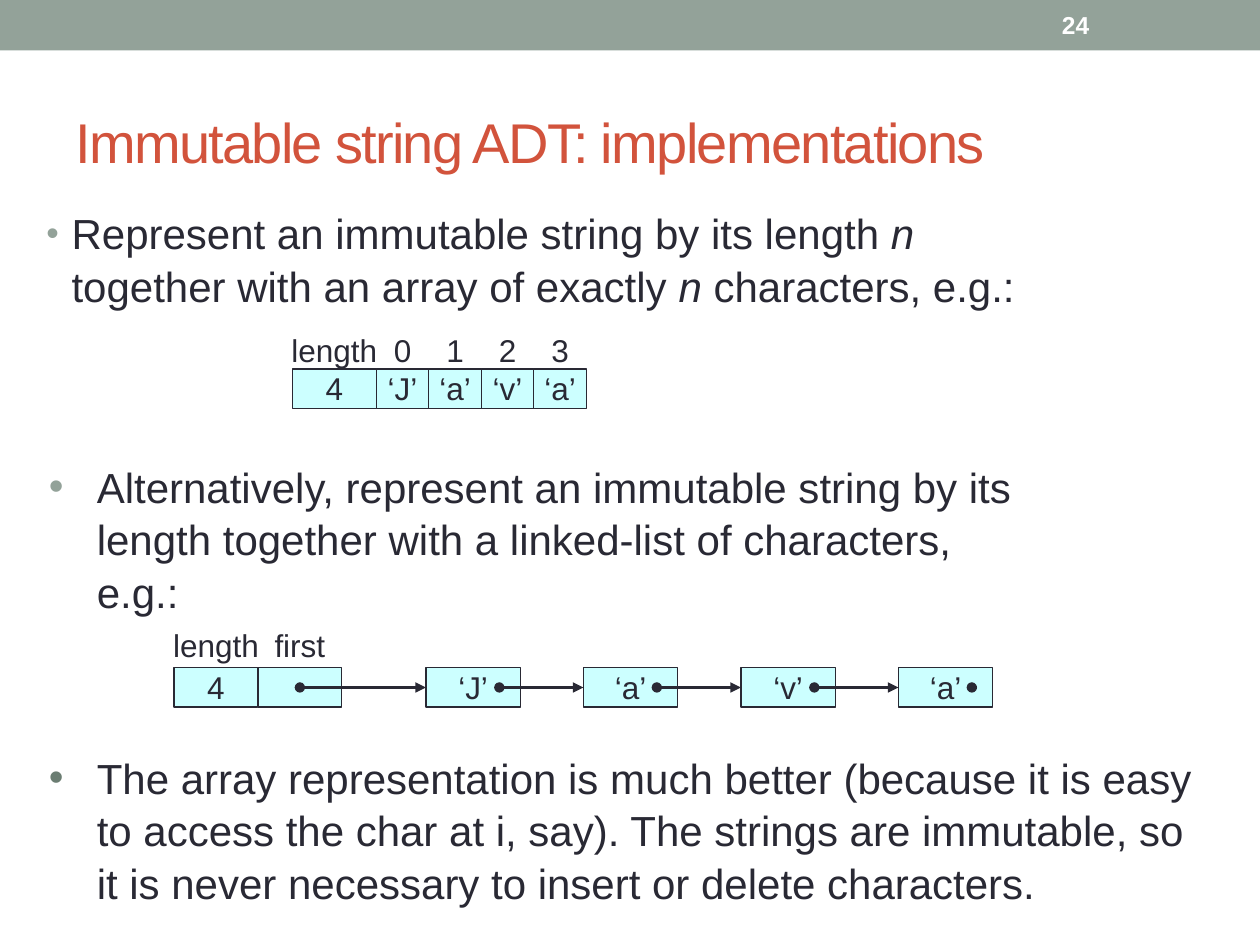
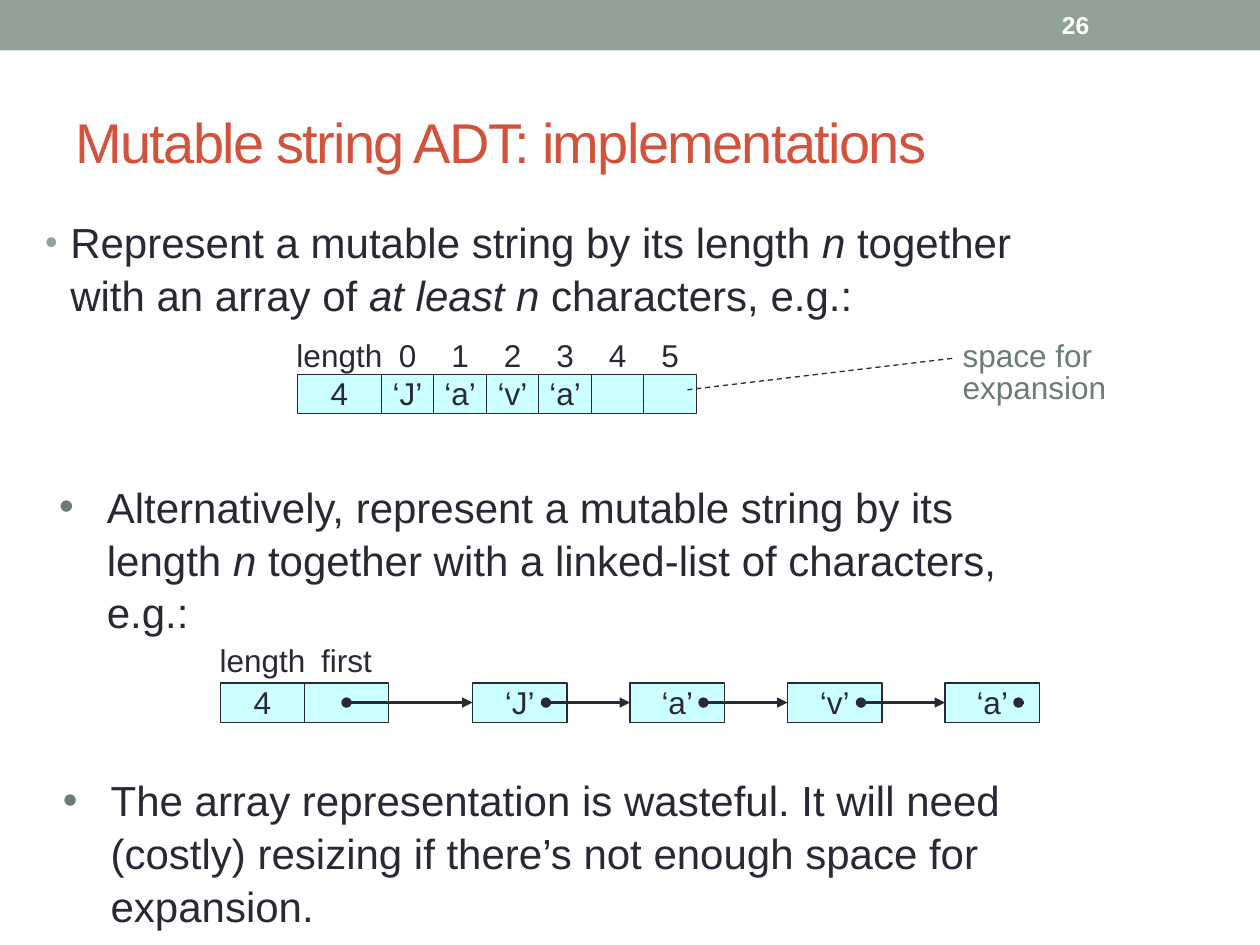
from pptx import Presentation, util as u
from pptx.dml.color import RGBColor
from pptx.enum import dml, shapes, text
from pptx.oxml.ns import qn
from lxml import etree

INK, SAGE, MOSS, RUST, AQUA, WHITE = "292934", "93A299", "6B7D72", "D2533C", "CCFFFF", "FFFFFF"
W, H = 10, 7.5
UNIT = 1 / 12
HEAD_W, CELL_W, NODE_W, NODE_STEP, BOX_H, LABEL_W, LABEL_H = 8, 5, 9, 15, 3.75, 10, 3
FIRST_NODE, DOT = 24, 7
WORD = ["‘J’", "‘a’", "‘v’", "‘a’"]

BODY = dict(size=24, color=INK)
SMALL = dict(size=18, color=INK)
TITLE = dict(size=32, color=RUST)
NUMBER = dict(size=14, color=WHITE, bold=True)
CENTER = dict(alignment=text.PP_ALIGN.CENTER)
LABEL = dict(CENTER, line_spacing=u.Pt(18))
LEAD = dict(indent=0.2, color=SAGE, size=85)

SLIDES = [
    dict(
        number="24",
        title="Immutable string ADT: implementations",
        points=[
            (0.27, 1.58, 8.33, 0.95, LEAD,
             ["Represent an immutable string by its length ", "n",
              " together with an array of exactly ", "n", " characters, e.g.:"]),
            (0.29, 3.59, 7.88, 1.28, dict(indent=0.38, color=SAGE),
             ["Alternatively, represent an immutable string by its length "
              "together with a linked-list of characters, e.g.:"]),
            (0.29, 5.9, 9.37, 1.23, dict(indent=0.38, color=MOSS),
             ["The array representation is much better (because it is easy to access "
              "the char at i, say). The strings are immutable, so it is never "
              "necessary to insert or delete characters."]),
        ],
        array=(2.32, 2.93, WORD),
        chain=(1.38, 5.3, WORD),
    ),
    dict(
        number="26",
        title="Mutable string ADT: implementations",
        points=[
            (0.26, 1.65, 8.33, 0.95, LEAD,
             ["Represent a mutable string by its length ", "n",
              " together with an array of ", "at least n", " characters, e.g.:"]),
            (0.37, 3.75, 7.88, 1.28, dict(indent=0.38, color=MOSS),
             ["Alternatively, represent a mutable string by its length ", "n",
              " together with a linked-list of characters, e.g.:"]),
            (0.4, 6.08, 7.88, 1.23, dict(indent=0.38, color=MOSS),
             ["The array representation is wasteful. It will need (costly) resizing "
              "if there’s not enough space for expansion."]),
        ],
        array=(2.36, 2.97, WORD + ["", ""]),
        chain=(1.75, 5.42, WORD),
        callout=(7.64, 2.72, 1.22, 0.55, "space for expansion", (0.226, -0.068, 0.679, -1.79)),
    ),
]


def rgb(value):
    return RGBColor.from_string(value)


def inches(*values):
    return [u.Inches(v) for v in values]


def put(obj, values):
    for name, value in values.items():
        setattr(obj, name, value)


def write(sp, runs, font, para=None, margins=None, anchor=text.MSO_ANCHOR.TOP):
    tf = sp.text_frame
    put(tf, dict(word_wrap=True, vertical_anchor=anchor))
    if margins is not None:
        put(tf, {f"margin_{side}": margins for side in ("left", "top", "right", "bottom")})
    p = tf.paragraphs[0]
    put(p, para or {})
    for i, words in enumerate(runs):
        r = p.add_run()
        r.text = words
        put(r.font, dict(name="Arial", size=u.Pt(font["size"]),
                         bold=font.get("bold", False), italic=i % 2 == 1))
        r.font.color.rgb = rgb(font["color"])
    return p


def box(s, at, fill=None, line=None, kind=shapes.MSO_SHAPE.RECTANGLE):
    sp = s.shapes.add_shape(kind, *inches(*at))
    sp.shadow.inherit = False
    if fill:
        sp.fill.solid()
        sp.fill.fore_color.rgb = rgb(fill)
    else:
        sp.fill.background()
    if line:
        sp.line.color.rgb = rgb(line)
        sp.line.width = u.Pt(0.75)
    else:
        sp.line.fill.background()
    return sp


def textbox(s, at, runs, font, **kw):
    return write(s.shapes.add_textbox(*inches(*at)), runs, font, **kw)


def cell(s, x, y, width, words=""):
    sp = box(s, (x, y, width * UNIT, BOX_H * UNIT), AQUA, INK)
    if words:
        write(sp, [words], SMALL, CENTER, 0)
    return sp


def label(s, middle, bottom, words):
    at = (middle - LABEL_W * UNIT / 2, bottom - LABEL_H * UNIT, LABEL_W * UNIT, LABEL_H * UNIT)
    textbox(s, at, [words], SMALL, para=LABEL, margins=0)


def bullet(p, indent, color, size=100):
    pPr = p._p.get_or_add_pPr()
    pPr.set("marL", str(u.Inches(indent)))
    pPr.set("indent", str(-u.Inches(indent)))
    clr = etree.SubElement(pPr, qn("a:buClr"))
    etree.SubElement(clr, qn("a:srgbClr"), val=color)
    etree.SubElement(pPr, qn("a:buSzPct"), val=str(size * 1000))
    etree.SubElement(pPr, qn("a:buFont"), typeface="Arial")
    etree.SubElement(pPr, qn("a:buChar"), char="•")


def pointer(s, x, y, target=None):
    end = x + UNIT / 2
    c = s.shapes.add_connector(shapes.MSO_CONNECTOR.STRAIGHT, *inches(x, y, end, y))
    if target is not None:
        c.end_connect(target, 1)
    c.line.color.rgb = rgb(INK)
    c.line.width = u.Pt(1.5)
    ln = c.line._get_or_add_ln()
    etree.SubElement(ln, qn("a:headEnd"), type="oval")
    if target is not None:
        etree.SubElement(ln, qn("a:tailEnd"), type="triangle")
    etree.SubElement(c._element.spPr, qn("a:effectLst"))


def draw_array(s, x, y, chars):
    cell(s, x, y, HEAD_W, "4")
    label(s, x + HEAD_W * UNIT / 2, y, "length")
    for i, char in enumerate(chars):
        left = x + (HEAD_W + i * CELL_W) * UNIT
        cell(s, left, y, CELL_W, char)
        label(s, left + CELL_W * UNIT / 2, y, str(i))


def draw_chain(s, x, y, chars):
    for i, (name, value) in enumerate([("length", "4"), ("first", "")]):
        left = x + i * HEAD_W * UNIT
        cell(s, left, y, HEAD_W, value)
        label(s, left + HEAD_W * UNIT / 2, y - 0.03, name)
    lefts = [x + (FIRST_NODE + i * NODE_STEP) * UNIT for i in range(len(chars))]
    nodes = [cell(s, left, y, NODE_W, char) for left, char in zip(lefts, chars)]
    dots = [x + HEAD_W * 1.5 * UNIT] + [left + DOT * UNIT for left in lefts]
    for dot, target in zip(dots, nodes + [None]):
        pointer(s, dot, y + BOX_H * UNIT / 2, target)


def draw_callout(s, x, y, w, h, words, adjustments):
    sp = box(s, (x, y, w, h), line=INK, kind=shapes.MSO_SHAPE.LINE_CALLOUT_1_NO_BORDER)
    for i, value in enumerate(adjustments):
        sp.adjustments[i] = value
    sp.line.dash_style = dml.MSO_LINE.DASH
    write(sp, [words], dict(SMALL, color=MOSS),
          dict(alignment=text.PP_ALIGN.LEFT, line_spacing=u.Pt(18)), 0)


def build(prs, data):
    s = prs.slides.add_slide(prs.slide_layouts[6])
    box(s, (0, 0, W, 0.4), SAGE)
    middle = text.MSO_ANCHOR.MIDDLE
    p = textbox(s, (0.5, 0.58, 9, 1.08), [data["title"]], TITLE, anchor=middle)
    p.runs[0].font._element.set("spc", "-100")
    for *at, mark, runs in data["points"]:
        bullet(textbox(s, at, runs, BODY, para=dict(line_spacing=1.05)), **mark)
    draw_array(s, *data["array"])
    draw_chain(s, *data["chain"])
    if "callout" in data:
        draw_callout(s, *data["callout"])
    textbox(s, (8.33, 0.02, 1.17, 0.36), [data["number"]], NUMBER, anchor=middle)


def main():
    prs = Presentation()
    prs.slide_width, prs.slide_height = inches(W, H)
    for data in SLIDES:
        build(prs, data)
    prs.save("out.pptx")


if __name__ == "__main__":
    main()
